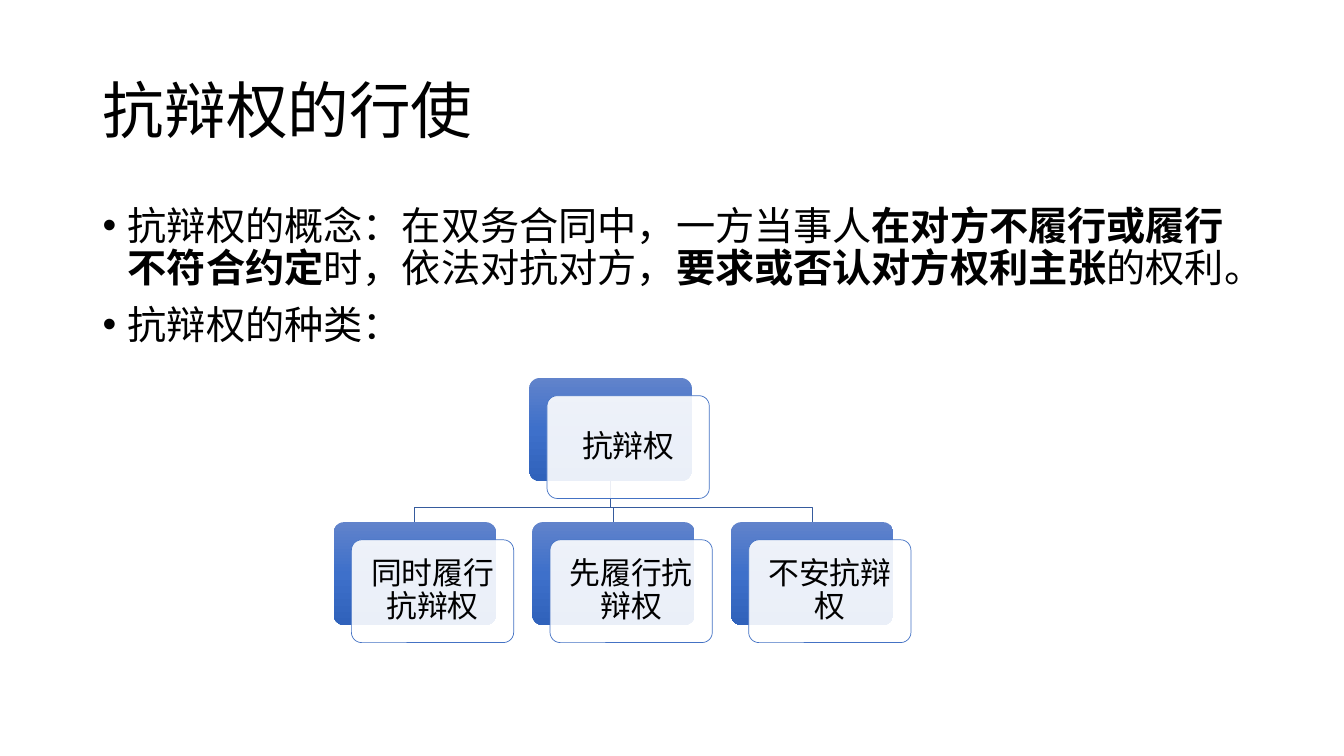
"""Build the slide on exercising the right of defence, with its tree of kinds."""
from copy import deepcopy
from dataclasses import dataclass

from lxml import etree
from pptx import Presentation
from pptx import util as u
from pptx.dml.color import RGBColor
from pptx.enum import lang, shapes, text
from pptx.oxml.ns import qn


@dataclass
class Theme:
    font: str = "Calibri"
    ink: str = "000000"
    pale: str = "FFFFFF"
    edge: str = "4472C4"
    link: str = "365B9D"
    shade: tuple = ("6183CB", "3E70CA", "3062BB")
    head: int = 44
    body: int = 28
    node: int = 22


theme = Theme()
rgb = RGBColor.from_string


def write(para, words, size, bold=False, align=text.PP_ALIGN.LEFT, before=0):
    para.alignment = align
    para.line_spacing = 0.9
    para.space_before = u.Pt(before)
    run = para.add_run()
    run.text = words
    font = run.font
    font.name, font.size, font.bold = theme.font, u.Pt(size), bold
    font.color.rgb = rgb(theme.ink)
    font.language_id = lang.MSO_LANGUAGE_ID.SIMPLIFIED_CHINESE


def card(left, top, words):
    for shift in (0, 0.175):
        box = slide.shapes.add_shape(
            shapes.MSO_SHAPE.ROUNDED_RECTANGLE, u.Inches(left + shift),
            u.Inches(top + shift), u.Inches(wide), u.Inches(high))
        box.adjustments[0] = 0.1
        box.shadow.inherit = False
        if shift == 0:
            box.line.fill.background()
            box.fill.gradient()
            box.fill.gradient_angle = 270
            stops = box._element.spPr.find(".//" + qn("a:gsLst"))
            stops.insert(1, deepcopy(stops[0]))
            for stop, tone, place in zip(box.fill.gradient_stops, theme.shade, (0, 0.5, 1)):
                stop.color.rgb = rgb(tone)
                stop.position = place
    box.fill.solid()
    box.fill.fore_color.rgb = rgb(theme.pale)
    tint = box._element.spPr.find(qn("a:solidFill"))[0]
    etree.SubElement(tint, qn("a:alpha"), val="90000")
    box.line.color.rgb = rgb(theme.edge)
    box.line.width = u.Pt(0.5)
    frame = box.text_frame
    frame.word_wrap = True
    frame.vertical_anchor = text.MSO_ANCHOR.MIDDLE
    frame.margin_left = frame.margin_right = u.Inches(0.09)
    frame.margin_top = frame.margin_bottom = u.Inches(0.09)
    write(frame.paragraphs[0], words, theme.node, align=text.PP_ALIGN.CENTER)


deck = Presentation()
deck.slide_width, deck.slide_height = u.Inches(13.33), u.Inches(7.5)
slide = deck.slides.add_slide(deck.slide_layouts[5])

title = slide.shapes.title
title.left, title.top = u.Inches(0.92), u.Inches(0.4)
title.width, title.height = u.Inches(11.5), u.Inches(1.45)
title.text_frame.vertical_anchor = text.MSO_ANCHOR.MIDDLE
write(title.text_frame.paragraphs[0], "抗辩权的行使", theme.head)

points = [
    [("抗辩权的概念：在双务合同中，一方当事人", False),
     ("在对方不履行或履行不符合约定", True),
     ("时，依法对抗对方，", False),
     ("要求或否认对方权利主张", True),
     ("的权利。", False)],
    [("抗辩权的种类：", False)],
]
body = slide.shapes.add_textbox(u.Inches(0.92), u.Inches(2), u.Inches(11.5), u.Inches(4.76))
frame = body.text_frame
frame.word_wrap = True
for rank, parts in enumerate(points):
    para = frame.add_paragraph() if rank else frame.paragraphs[0]
    props = para._p.get_or_add_pPr()
    props.set("marL", str(u.Inches(0.25)))
    props.set("indent", str(u.Inches(-0.25)))
    etree.SubElement(props, qn("a:buFont"), typeface="Arial")
    etree.SubElement(props, qn("a:buChar"), char="•")
    for words, bold in parts:
        write(para, words, theme.body, bold=bold, before=10 * rank)

wide, high = 1.61, 1.02
root, top, row = 5.25, 3.75, 5.18
kinds = ["同时履行抗辩权", "先履行抗辩权", "不安抗辩权"]
lefts = [3.31 + 1.97 * col for col in range(len(kinds))]
stem = root + wide / 2
for left in lefts:
    end = left + wide / 2
    path = slide.shapes.build_freeform(u.Inches(stem), u.Inches(top + high))
    path.add_line_segments(
        [(u.Inches(x), u.Inches(y)) for x, y in ((stem, 5.03), (end, 5.03), (end, row))],
        close=False)
    link = path.convert_to_shape()
    link.shadow.inherit = False
    link.fill.background()
    link.line.color.rgb = rgb(theme.link)
    link.line.width = u.Pt(0.5)

card(root, top, "抗辩权")
for left, kind in zip(lefts, kinds):
    card(left, row, kind)

deck.save("out.pptx")
